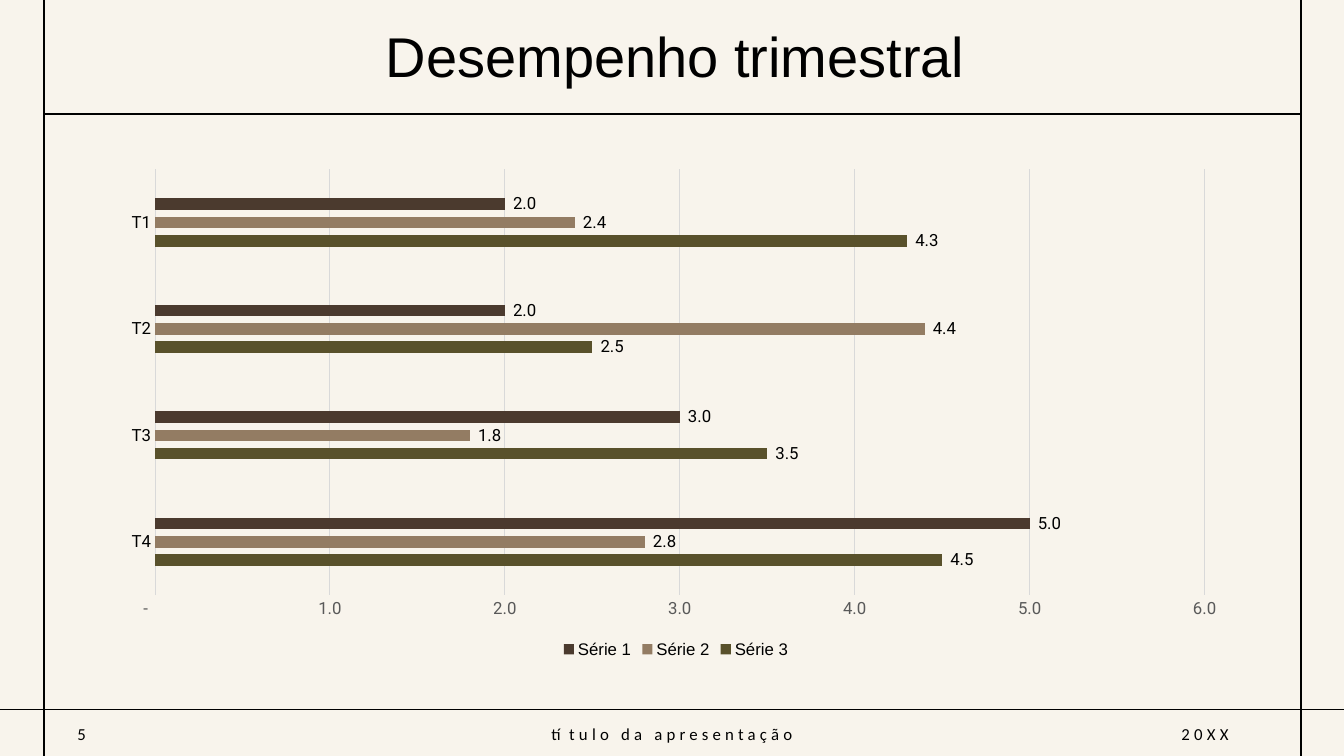
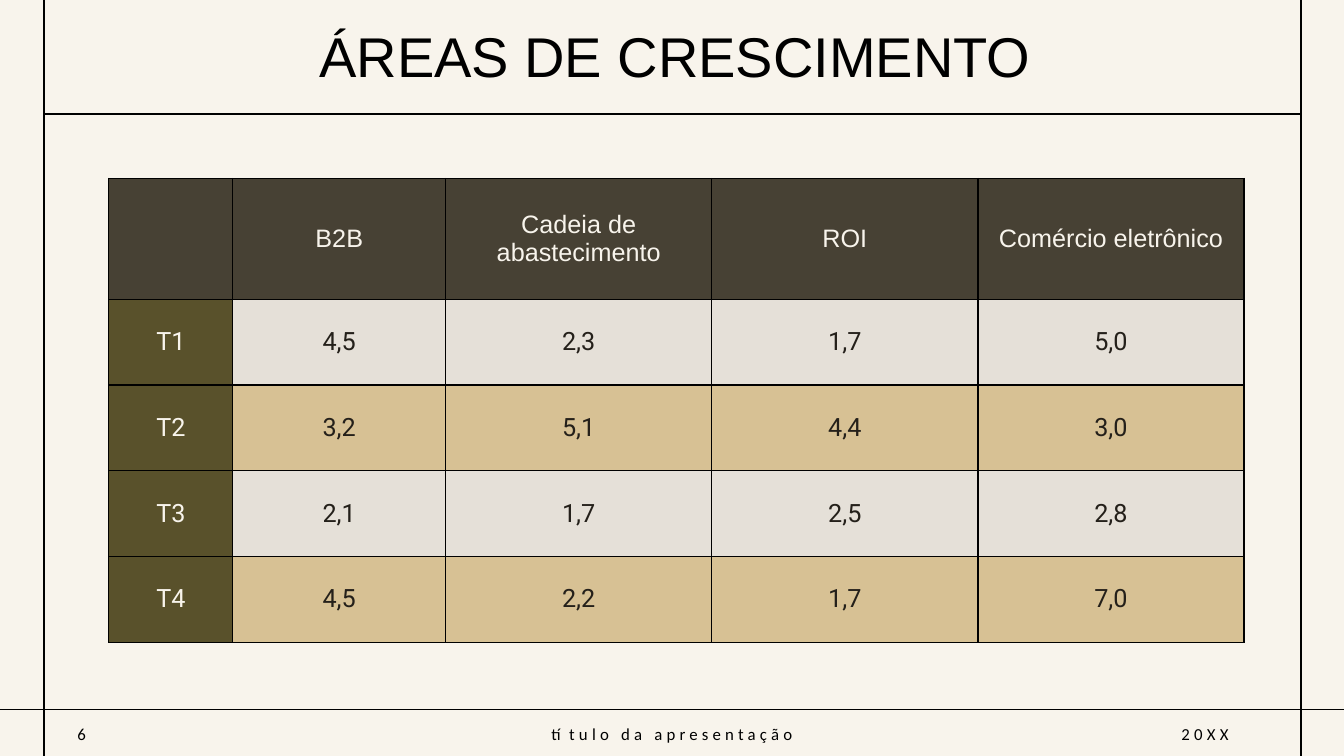
from lxml import etree
from pptx import Presentation
from pptx.chart.data import CategoryChartData
from pptx.dml.color import RGBColor
from pptx.enum.chart import XL_CHART_TYPE, XL_LABEL_POSITION, XL_LEGEND_POSITION, XL_TICK_MARK
from pptx.enum.shapes import MSO_CONNECTOR
from pptx.enum.text import MSO_ANCHOR, MSO_AUTO_SIZE, PP_ALIGN
from pptx.oxml.ns import qn
from pptx.util import Inches, Pt

BAR_CLUSTERED = XL_CHART_TYPE.BAR_CLUSTERED
OUTSIDE_END = XL_LABEL_POSITION.OUTSIDE_END
LEGEND_BOTTOM = XL_LEGEND_POSITION.BOTTOM
NO_TICK = XL_TICK_MARK.NONE
STRAIGHT = MSO_CONNECTOR.STRAIGHT
MIDDLE = MSO_ANCHOR.MIDDLE
LEFT, CENTER = PP_ALIGN.LEFT, PP_ALIGN.CENTER

# Shared look
WIDTH, HEIGHT = 13.33, 7.5
BLACK, CREAM, GRID, GREY = "000000", "F8F4EC", "D9D9D9", "595959"
HEADER, OLIVE, INK = "474134", "59512B", "24201A"
BANDS = ("E5E0D8", "D7C194")
HEAD_FONT, BODY_FONT, FOOTER_FONT = "Arial", "Roboto", "Calibri"
FRAME_LINES = [
    (0.44, 1.13, 12.9, 1.13),
    (0, 7.04, WIDTH, 7.04),
    (0.44, HEIGHT, 0.44, 0),
    (12.9, HEIGHT, 12.9, 0),
]
FIRST_PAGE = 5
FOOTER_TEXT, FOOTER_YEAR = "título da apresentação", "20XX"

# Chart content, listed from the bottom bar upwards
CHART_TITLE = "Desempenho trimestral"
QUARTERS = ["T4", "T3", "T2", "T1"]
SERIES = [
    ("Série 3", (4.5, 3.5, 2.5, 4.3), OLIVE),
    ("Série 2", (2.8, 1.8, 4.4, 2.4), "937C63"),
    ("Série 1", (5, 3, 2, 2), "4B3A2E"),
]
NUMBER_FORMAT = '_(* #,##0.0_);_(* \\(#,##0.0\\);_(* "-"??_);_(@_)'

# Table content
TABLE_TITLE = "ÁREAS DE CRESCIMENTO"
GROWTH = [
    ("", "B2B", "Cadeia de abastecimento", "ROI", "Comércio eletrônico"),
    ("T1", "4,5", "2,3", "1,7", "5,0"),
    ("T2", "3,2", "5,1", "4,4", "3,0"),
    ("T3", "2,1", "1,7", "2,5", "2,8"),
    ("T4", "4,5", "2,2", "1,7", "7,0"),
]
COLUMN_WIDTHS = (1.23, 2.11, 2.64, 2.64, 2.64)
ROW_HEIGHTS = (1.2,) + (0.85,) * 4


def rgb(color):
    return RGBColor.from_string(color)


def style_font(font, size, name, color):
    font.size, font.name = Pt(size), name
    font.color.rgb = rgb(color)


def style_line(line, color, width):
    line.color.rgb = rgb(color)
    line.width = Pt(width)


def write(frame, text, size, name, color, align):
    frame.text = text
    paragraph = frame.paragraphs[0]
    paragraph.alignment = align
    for run in paragraph.runs:
        style_font(run.font, size, name, color)
    return paragraph


def build_frame(slide, layout):
    """Put the background and ruled frame on the layout both slides share."""
    layout.background.fill.solid()
    layout.background.fill.fore_color.rgb = rgb(CREAM)
    for ends in FRAME_LINES:
        rule = slide.shapes.add_connector(STRAIGHT, *map(Inches, ends))
        style_line(rule.line, BLACK, 1.25)
        etree.SubElement(rule.element.spPr, qn("a:effectLst"))
        layout.element.cSld.spTree.append(rule.element)


def add_title(slide, text):
    title = slide.shapes.title
    title.left, title.top = Inches(2.23), Inches(0.06)
    title.width, title.height = Inches(8.93), Inches(1.06)
    frame = title.text_frame
    frame.auto_size = MSO_AUTO_SIZE.NONE
    frame.vertical_anchor = MIDDLE
    write(frame, text, 40, HEAD_FONT, BLACK, CENTER).line_spacing = 0.9


def add_footer(slide, page):
    for text, left, width, align in [
        (str(page), 0.67, 1.04, LEFT),
        (FOOTER_TEXT, 5.26, 2.81, CENTER),
        (FOOTER_YEAR, 11.62, 1.04, LEFT),
    ]:
        box = slide.shapes.add_textbox(Inches(left), Inches(7.13), Inches(width), Inches(0.3))
        frame = box.text_frame
        frame.word_wrap = True
        frame.vertical_anchor = MIDDLE
        paragraph = write(frame, text, 12, FOOTER_FONT, BLACK, align)
        paragraph.runs[0].font._element.set("spc", "300")


def add_quarter_chart(slide):
    data = CategoryChartData(number_format=NUMBER_FORMAT)
    data.categories = QUARTERS
    for name, values, _ in SERIES:
        data.add_series(name, values)
    chart = slide.shapes.add_chart(
        BAR_CLUSTERED, Inches(1.08), Inches(1.58), Inches(11.25), Inches(4.99), data
    ).chart
    chart.has_title = False
    style_font(chart.font, 10, BODY_FONT, BLACK)

    # Bars and their labels
    plot = chart.plots[0]
    plot.vary_by_categories = False
    plot.gap_width, plot.overlap = 500, -57
    for series, (_, _, color) in zip(plot.series, SERIES):
        series.format.fill.solid()
        series.format.fill.fore_color.rgb = rgb(color)
        labels = series.data_labels
        labels.show_value = True
        labels.position = OUTSIDE_END
        labels.number_format, labels.number_format_is_linked = NUMBER_FORMAT, False
        style_font(labels.font, 12, BODY_FONT, BLACK)

    # Axes
    quarters, values = chart.category_axis, chart.value_axis
    for axis, color in ((quarters, BLACK), (values, GREY)):
        axis.major_tick_mark = axis.minor_tick_mark = NO_TICK
        style_font(axis.tick_labels.font, 12, BODY_FONT, color)
    style_line(quarters.format.line, GRID, 0.75)
    values.format.line.fill.background()
    values.minimum_scale, values.maximum_scale, values.major_unit = 0, 6, 1
    values.has_major_gridlines = True
    style_line(values.major_gridlines.format.line, GRID, 0.75)
    values.tick_labels.number_format = NUMBER_FORMAT
    values.tick_labels.number_format_is_linked = False

    # Legend
    chart.has_legend = True
    chart.legend.position = LEGEND_BOTTOM
    chart.legend.include_in_layout = False
    style_font(chart.legend.font, 12, HEAD_FONT, BLACK)


def cell_style(row, column):
    """Return fill, font and text colour for a cell."""
    if row == 0:
        return HEADER, HEAD_FONT, CREAM
    if column == 0:
        return OLIVE, BODY_FONT, CREAM
    return BANDS[(row - 1) % 2], BODY_FONT, INK


def add_borders(cell):
    properties = cell._tc.get_or_add_tcPr()
    for index, side in enumerate(("lnL", "lnR", "lnT", "lnB")):
        border = etree.Element(qn(f"a:{side}"), w=str(Pt(1)))
        fill = etree.SubElement(border, qn("a:solidFill"))
        etree.SubElement(fill, qn("a:srgbClr"), val=BLACK)
        properties.insert(index, border)


def add_growth_table(slide):
    table = slide.shapes.add_table(
        len(GROWTH), len(COLUMN_WIDTHS), Inches(1.08), Inches(1.77), Inches(11.25), Inches(4.6)
    ).table
    for column, width in zip(table.columns, COLUMN_WIDTHS):
        column.width = Inches(width)
    for row, height in zip(table.rows, ROW_HEIGHTS):
        row.height = Inches(height)
    for r, texts in enumerate(GROWTH):
        for c, text in enumerate(texts):
            cell = table.cell(r, c)
            fill, font, color = cell_style(r, c)
            cell.fill.solid()
            cell.fill.fore_color.rgb = rgb(fill)
            cell.vertical_anchor = MIDDLE
            write(cell.text_frame, text, 18, font, color, CENTER)
            add_borders(cell)


def main():
    prs = Presentation()
    prs.slide_width, prs.slide_height = Inches(WIDTH), Inches(HEIGHT)
    layout = prs.slide_layouts.get_by_name("Title Only")
    pages = [(CHART_TITLE, add_quarter_chart), (TABLE_TITLE, add_growth_table)]
    for page, (title, add_content) in enumerate(pages, FIRST_PAGE):
        slide = prs.slides.add_slide(layout)
        if page == FIRST_PAGE:
            build_frame(slide, layout)
        add_title(slide, title)
        add_content(slide)
        add_footer(slide, page)
    prs.save("out.pptx")


if __name__ == "__main__":
    main()
